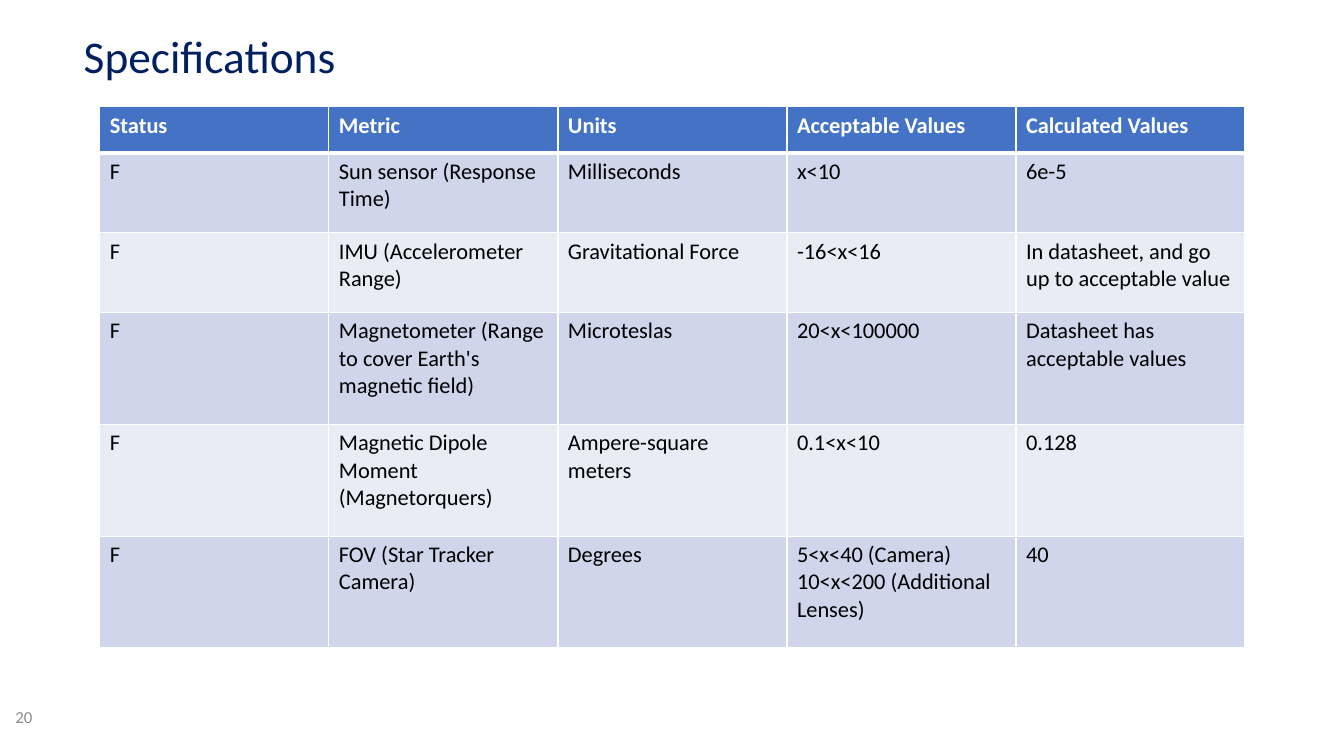
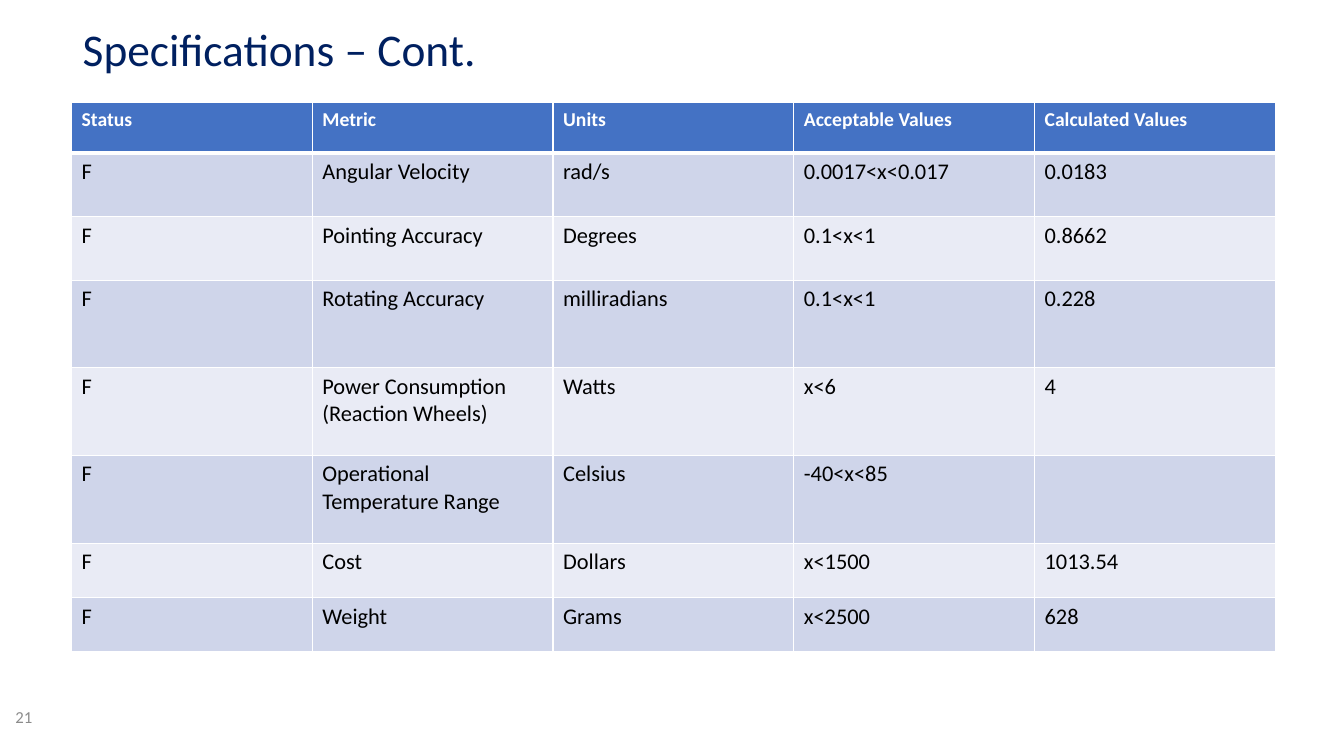
from lxml.etree import SubElement
from pptx import Presentation
from pptx.dml.color import RGBColor
from pptx.enum.text import MSO_ANCHOR, MSO_AUTO_SIZE, PP_ALIGN
from pptx.oxml.ns import qn
from pptx.util import Inches, Pt

FONT = "Calibri"
NAVY = RGBColor(0x00, 0x20, 0x60)
GRAY = RGBColor(0x8C, 0x8C, 0x8C)
BLACK = RGBColor(0x00, 0x00, 0x00)
WHITE = RGBColor(0xFF, 0xFF, 0xFF)
BLUE = RGBColor(0x44, 0x72, 0xC4)
BANDS = RGBColor(0xCF, 0xD5, 0xEA), RGBColor(0xE9, 0xEB, 0xF5)

HEAD = "Status", "Metric", "Units", "Acceptable Values", "Calculated Values"
PAGES = [
    dict(
        title="Specifications", spot=(0.73, 0.35), number=20,
        box=(0.99, 1.06, 11.36), size=16,
        heights=(0.46, 0.79, 0.79, 1.11, 1.11, 1.11),
        rows=[
            ("Sun sensor (Response Time)", "Milliseconds", "x<10", "6e-5"),
            ("IMU (Accelerometer Range)", "Gravitational Force", "-16<x<16",
             "In datasheet, and go up to acceptable value"),
            ("Magnetometer (Range to cover Earth's magnetic field)",
             "Microteslas", "20<x<100000", "Datasheet has acceptable values"),
            ("Magnetic Dipole Moment (Magnetorquers)",
             "Ampere-square meters", "0.1<x<10", "0.128"),
            ("FOV (Star Tracker Camera)", "Degrees",
             "5<x<40 (Camera)\n10<x<200 (Additional Lenses)", "40"),
        ],
    ),
    dict(
        title="Specifications – Cont.", spot=(0.72, 0.28), number=21,
        box=(0.71, 1.02, 11.94), size=14,
        heights=(0.5, 0.63, 0.63, 0.87, 0.87, 0.87, 0.54, 0.54),
        rows=[
            ("Angular Velocity", "rad/s", "0.0017<x<0.017", "0.0183"),
            ("Pointing Accuracy", "Degrees", "0.1<x<1", "0.8662"),
            ("Rotating Accuracy", "milliradians", "0.1<x<1", "0.228"),
            ("Power Consumption (Reaction Wheels)", "Watts", "x<6", "4"),
            ("Operational Temperature Range", "Celsius", "-40<x<85", ""),
            ("Cost", "Dollars", "x<1500", "1013.54"),
            ("Weight", "Grams", "x<2500", "628"),
        ],
    ),
]


def write(frame, text, size=16, color=BLACK, bold=False,
          align=PP_ALIGN.LEFT, space=None):
    frame.text = text
    for para in frame.paragraphs:
        para.alignment = align
        para.line_spacing = space
        font = para.font
        font.name, font.size, font.bold = FONT, Pt(size), bold
        font.color.rgb = color


def edge(cell, head):
    """Draw white borders, with a thick rule below the header and above the body."""
    props = cell._tc.get_or_add_tcPr()
    for side in "LRTB":
        thick = head and side == "B"
        line = SubElement(props, qn(f"a:ln{side}"), w=str(Pt(3 if thick else 1)))
        fill = SubElement(line, qn("a:solidFill"))
        SubElement(fill, qn("a:srgbClr"), val=str(WHITE))


def add_title(slide, text, spot):
    title = slide.shapes.title
    title.left, title.top = map(Inches, spot)
    title.width, title.height = Inches(5.57), Inches(0.47)
    frame = title.text_frame
    frame.auto_size = MSO_AUTO_SIZE.NONE
    frame.vertical_anchor = MSO_ANCHOR.MIDDLE
    write(frame, text, size=32.4, color=NAVY, space=0.9)


def add_number(slide, number):
    box = slide.shapes.add_textbox(0, Inches(6.92), Inches(0.42), Inches(0.38))
    frame = box.text_frame
    frame.word_wrap = True
    frame.vertical_anchor = MSO_ANCHOR.MIDDLE
    write(frame, str(number), size=12, color=GRAY, align=PP_ALIGN.RIGHT)


def add_specs(slide, box, heights, rows, size):
    grid = [HEAD] + [("F", *row) for row in rows]
    left, top, width = box
    table = slide.shapes.add_table(
        len(grid), len(HEAD), Inches(left), Inches(top),
        Inches(width), Inches(sum(heights))).table
    for row, height in zip(table.rows, heights):
        row.height = Inches(height)
    for r, texts in enumerate(grid):
        head = r == 0
        for c, text in enumerate(texts):
            cell = table.cell(r, c)
            edge(cell, head)
            cell.fill.solid()
            cell.fill.fore_color.rgb = BLUE if head else BANDS[(r - 1) % 2]
            write(cell.text_frame, text, size=size if head else 16,
                  color=WHITE if head else BLACK, bold=head)


def add_page(deck, title, spot, number, **specs):
    slide = deck.slides.add_slide(deck.slide_layouts[5])
    add_title(slide, title, spot)
    add_number(slide, number)
    add_specs(slide, **specs)


def main():
    deck = Presentation()
    deck.slide_width, deck.slide_height = Inches(13.33), Inches(7.5)
    for page in PAGES:
        add_page(deck, **page)
    deck.save("out.pptx")


if __name__ == "__main__":
    main()
